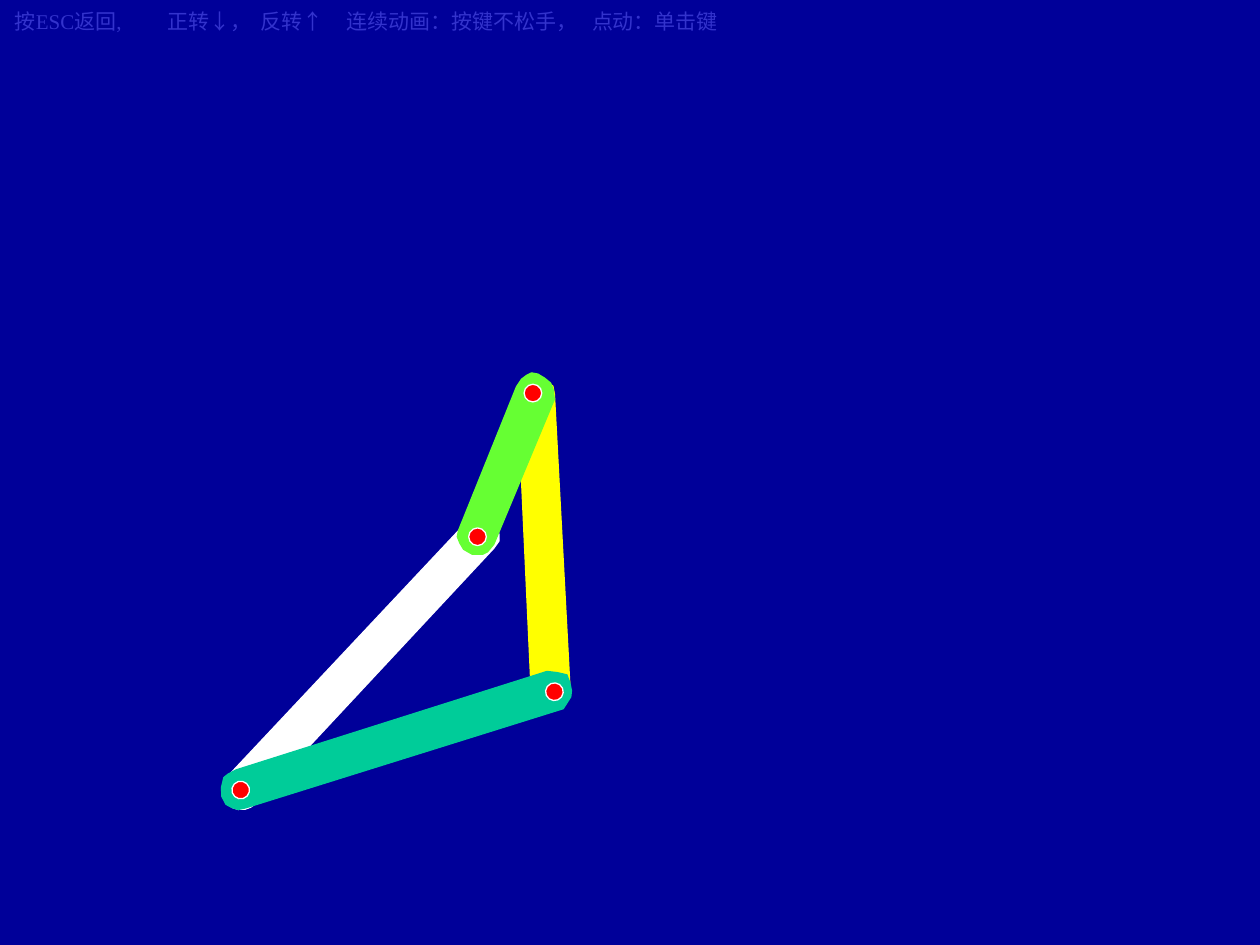
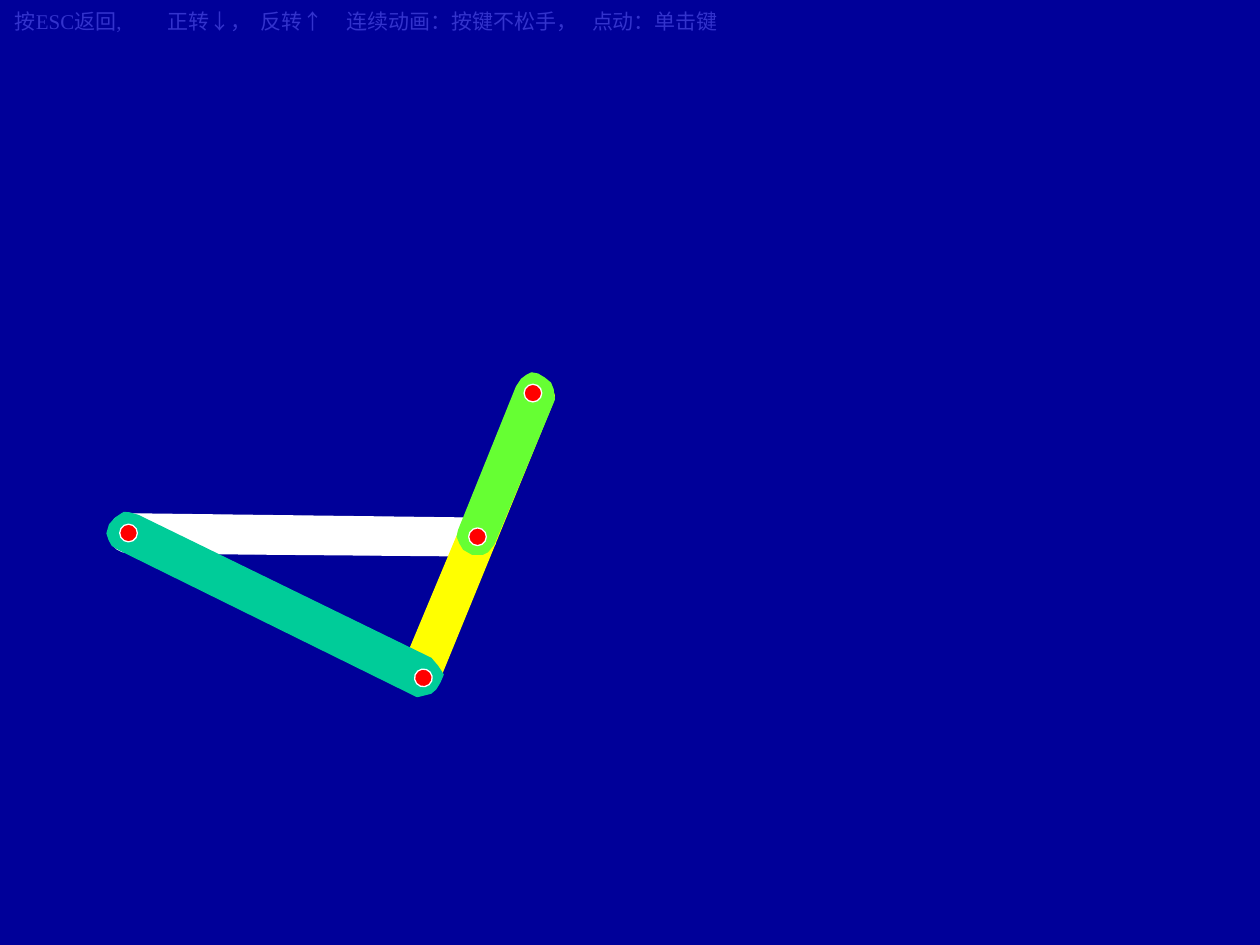
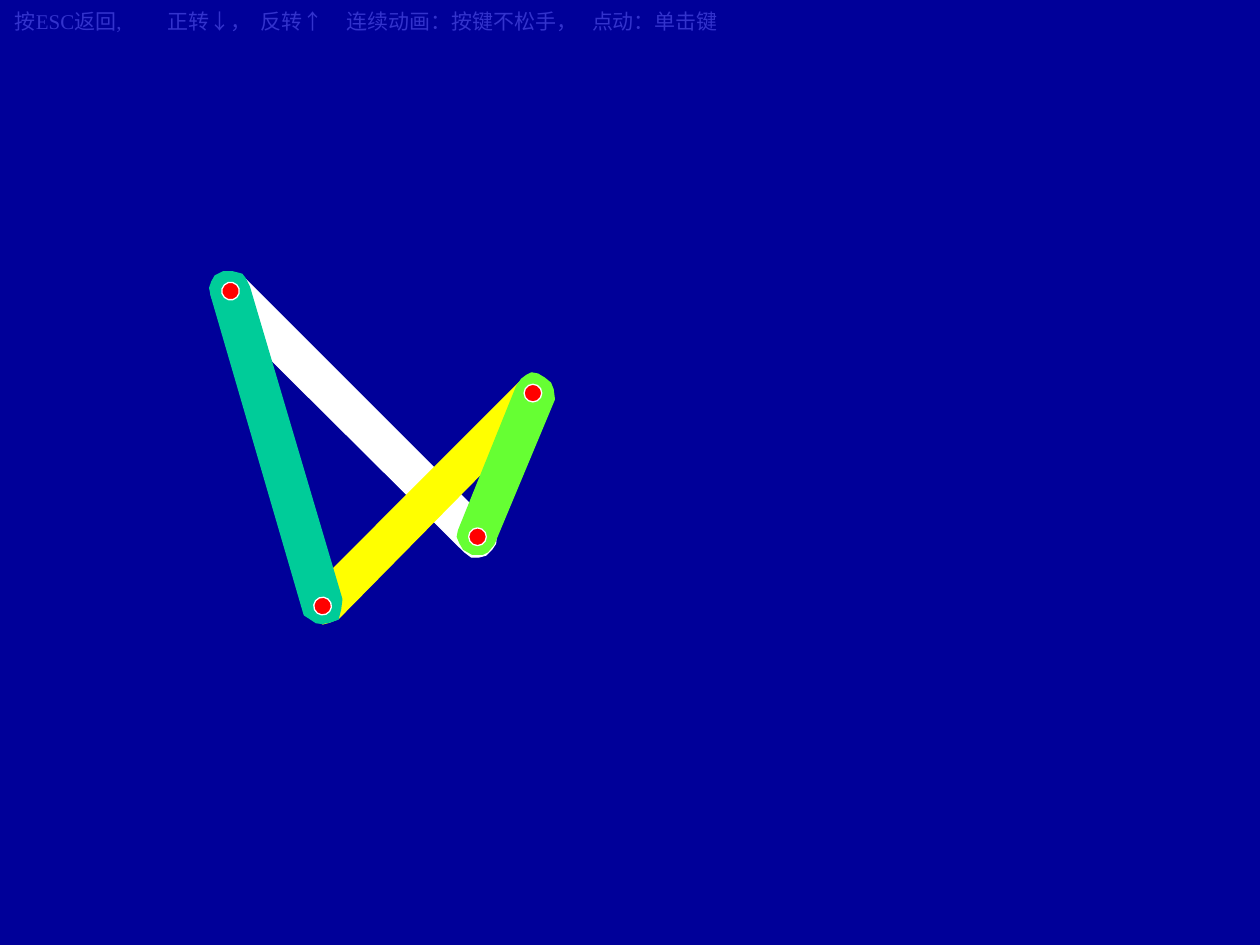
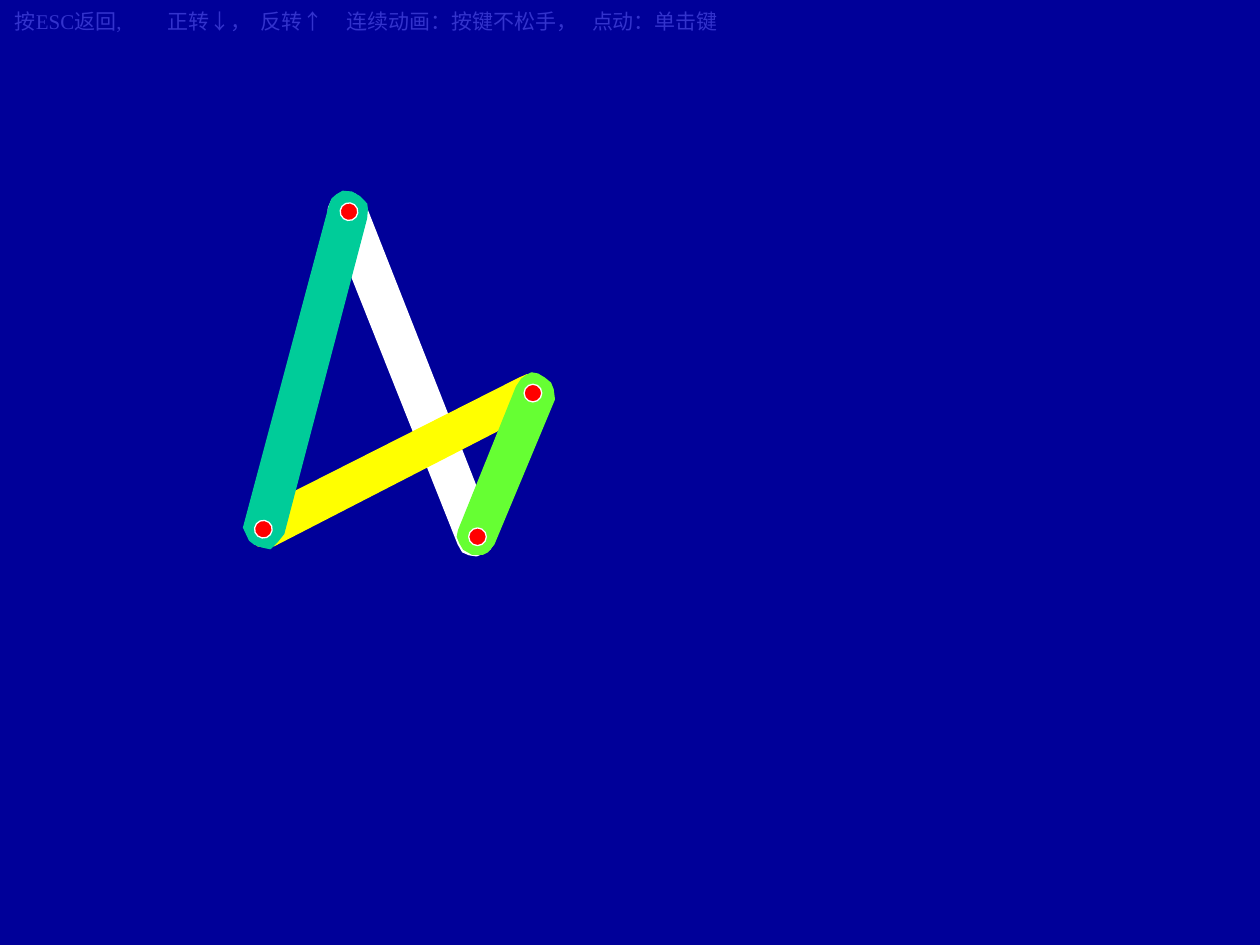
from collections import namedtuple

from lxml.etree import SubElement
from pptx import Presentation
from pptx.dml.color import RGBColor
from pptx.enum.shapes import MSO_SHAPE as Preset
from pptx.enum.text import MSO_AUTO_SIZE as AutoSize
from pptx.oxml.ns import qn
from pptx.util import Inches, Pt

NAVY = RGBColor(0x00, 0x00, 0x99)
HINT_BLUE = RGBColor(0x33, 0x33, 0xCC)
WHITE = RGBColor(0xFF, 0xFF, 0xFF)
YELLOW = RGBColor(0xFF, 0xFF, 0x00)
TEAL = RGBColor(0x00, 0xCC, 0x99)
GREEN = RGBColor(0x66, 0xFF, 0x33)
RED = RGBColor(0xFF, 0x00, 0x00)

WIDTH, HEIGHT = Inches(10), Inches(7.5)
CELL = WIDTH // 1000
PIN_SIZE = 14
BLANK_LAYOUT = 6

Box = namedtuple("Box", "left top width height")
Bar = namedtuple("Bar", "color outline")
Place = namedtuple("Place", "left top angle", defaults=[0])
Pose = namedtuple("Pose", "side_link crank coupler crank_pin side_pin")

HINT_BOX = Box(2, 2, 649, 30)
LINKAGE_BOX = Box(0, 0, 1000, 750)

HINTS = ["按ESC返回,", "正转↓，", "反转↑", "连续动画：按键不松手，", "点动：单击键"]
HINT_TABS = [121, 195, 263, 458]
HINT_FONT = {"name": "Times New Roman", "size": Pt(12)}
HINT_FRAME = {
    "word_wrap": True,
    "auto_size": AutoSize.SHAPE_TO_FIT_TEXT,
    "margin_left": Inches(0.1),
    "margin_right": Inches(0.1),
    "margin_top": Inches(0.05),
    "margin_bottom": Inches(0.05),
}

SIDE_LINK = Bar(WHITE, [
    (14, 0), (290, 0), (296, 1), (300, 3), (304, 7), (306, 11),
    (307, 16), (305, 22), (302, 27), (297, 29), (293, 31), (14, 30),
    (5, 27), (1, 22), (0, 17), (0, 10), (3, 5), (7, 1),
])
CRANK = Bar(YELLOW, [
    (7, 121), (208, 1), (216, 0), (221, 0), (226, 5), (229, 9),
    (231, 16), (228, 24), (223, 28), (22, 146), (16, 149), (11, 148),
    (6, 146), (1, 139), (0, 133), (2, 125),
])
COUPLER = Bar(TEAL, [
    (104, 258), (0, 21), (0, 17), (0, 13), (1, 5), (7, 2),
    (13, 0), (18, 0), (22, 2), (28, 5), (133, 247), (135, 253),
    (134, 258), (132, 263), (126, 267), (119, 268), (111, 267), (108, 264),
])
FRAME = Bar(GREEN, [
    (1, 125), (47, 11), (51, 5), (55, 2), (59, 0), (64, 1),
    (69, 4), (74, 8), (76, 13), (77, 21), (29, 136), (24, 142),
    (20, 144), (12, 144), (5, 140), (2, 135), (0, 130),
])
FRAME_PLACE = Place(363, 296)
FRAME_PINS = [Place(372, 419), Place(416, 305)]

POSES = [
    Pose(Place(132, 511, 133), Place(315, 356, 117.8), Place(247, 454, 96.1),
         Place(433, 542, 96.1), Place(184, 620, 133)),
    Pose(Place(86, 409, 180.5), Place(264, 348, 143.1), Place(150, 346, 139.7),
         Place(329, 531, 139.7), Place(95, 416, 180.5)),
    Pose(Place(127, 313, 224.8), Place(224, 322, 165.4), Place(151, 221, 187.2),
         Place(249, 474, 187.2), Place(176, 224, 224.8)),
    Pose(Place(173, 281, 248.3), Place(199, 291, 183.6), Place(175, 159, 218.4),
         Place(202, 413, 218.4), Place(270, 161, 248.3)),
]


def apply_format(target, values):
    for attribute, value in values.items():
        setattr(target, attribute, value)


def paint(part, fill, line, angle):
    part.shadow.inherit = False
    part.fill.solid()
    part.fill.fore_color.rgb = fill
    part.line.color.rgb = line
    part.line.width = Pt(0.75)
    part.rotation = angle


def add_bar(shapes, box, bar, place):
    left, top = box.left + place.left, box.top + place.top
    points = [((left + x) * CELL, (top + y) * CELL) for x, y in bar.outline]
    builder = shapes.build_freeform(*points[0])
    builder.add_line_segments(points[1:], close=True)
    paint(builder.convert_to_shape(), bar.color, bar.color, place.angle)


def add_pin(shapes, box, place):
    pin = shapes.add_shape(
        Preset.OVAL, (box.left + place.left) * CELL, (box.top + place.top) * CELL,
        PIN_SIZE * CELL, PIN_SIZE * CELL)
    paint(pin, RED, WHITE, place.angle)


def add_fixed_frame(slide, box):
    frame = slide.shapes.add_group_shape().shapes
    add_bar(frame, box, FRAME, FRAME_PLACE)
    for place in FRAME_PINS:
        add_pin(frame, box, place)


def add_linkage(slide, box, pose):
    add_bar(slide.shapes, box, SIDE_LINK, pose.side_link)
    add_bar(slide.shapes, box, CRANK, pose.crank)
    add_bar(slide.shapes, box, COUPLER, pose.coupler)
    for place in (pose.crank_pin, pose.side_pin):
        add_pin(slide.shapes, box, place)
    add_fixed_frame(slide, box)


def add_key_hints(slide, box):
    frame = slide.shapes.add_textbox(*(length * CELL for length in box)).text_frame
    apply_format(frame, HINT_FRAME)
    line = frame.paragraphs[0]
    tabs = SubElement(line._p.get_or_add_pPr(), qn("a:tabLst"))
    for column in HINT_TABS:
        SubElement(tabs, qn("a:tab"), pos=str(column * CELL), algn="l")
    hints = line.add_run()
    hints.text = "\t".join(HINTS)
    apply_format(hints.font, HINT_FONT)
    hints.font.color.rgb = HINT_BLUE


def main():
    deck = Presentation()
    deck.slide_width, deck.slide_height = WIDTH, HEIGHT
    backdrop = deck.slide_master.background.fill
    backdrop.solid()
    backdrop.fore_color.rgb = NAVY
    for pose in POSES:
        slide = deck.slides.add_slide(deck.slide_layouts[BLANK_LAYOUT])
        add_linkage(slide, LINKAGE_BOX, pose)
        add_key_hints(slide, HINT_BOX)
    deck.save("out.pptx")


if __name__ == "__main__":
    main()
